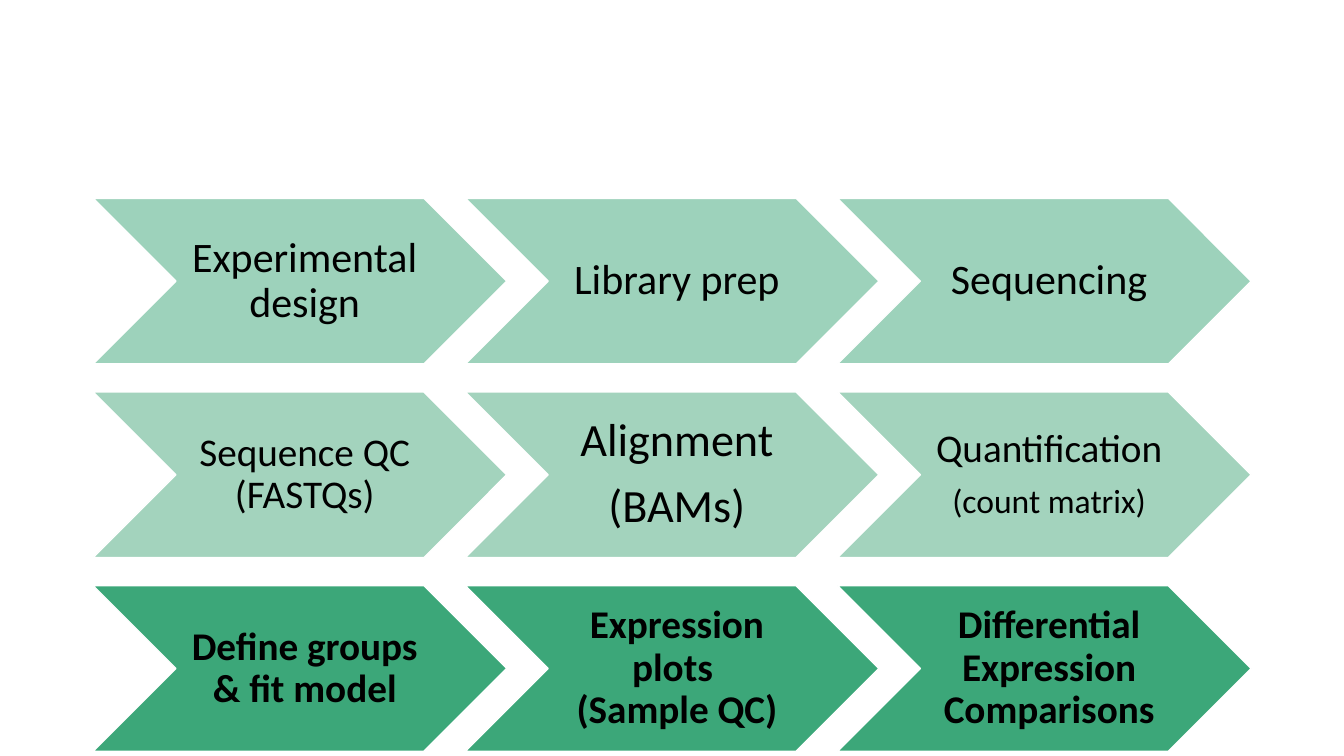
from lxml.etree import SubElement
from pptx import Presentation
from pptx.dml.color import RGBColor
from pptx.enum.shapes import MSO_SHAPE
from pptx.enum.text import MSO_ANCHOR, PP_ALIGN
from pptx.oxml.ns import qn
from pptx.util import Cm, Pt

# Content: each stage has its fill, opacity, weight and steps;
# a step is a list of (paragraph, size), "\v" being a line break
STAGES = [
    {"fill": "3CA779", "opacity": 50, "bold": False, "steps": [
        [("Experimental design", 30)],
        [("Library prep", 30)],
        [("Sequencing", 30)]]},
    {"fill": "A3D3BD", "opacity": 100, "bold": False, "steps": [
        [("Sequence QC\v(FASTQs)", 28)],
        [("Alignment", 33), ("(BAMs)", 33)],
        [("Quantification", 28), ("(count matrix)", 24)]]},
    {"fill": "3CA779", "opacity": 100, "bold": True, "steps": [
        [("Define groups & fit model", 28)],
        [("Expression plots \v(Sample QC)", 28)],
        [("Differential Expression Comparisons", 28)]]},
]

# Grid in centimetres
LEFT, TOP = 2.35, 5.0
STEP_WIDTH, STEP_HEIGHT = 10.42, 4.17
COLUMN_PITCH, ROW_PITCH = 9.38, 4.88


def paint(color_format, hex_color):
    color_format.rgb = RGBColor.from_string(hex_color)


def write(paragraph, text, size=28, bold=False, color="000000", font="Calibri"):
    paragraph.text = text
    paragraph.alignment = PP_ALIGN.CENTER
    paragraph.line_spacing = 0.9
    paragraph.space_after = Pt(round(0.35 * size, 1))
    for run in paragraph.runs:
        run.font.name = font
        run.font.size = Pt(size)
        run.font.bold = bold
        paint(run.font.color, color)


def add_step(slide, left, top, lines, fill, opacity, bold):
    step = slide.shapes.add_shape(MSO_SHAPE.CHEVRON, Cm(left), Cm(top),
                                  Cm(STEP_WIDTH), Cm(STEP_HEIGHT))
    step.shadow.inherit = False
    step.fill.solid()
    paint(step.fill.fore_color, fill)
    if opacity < 100:
        color = step.fill._xPr.find(".//" + qn("a:srgbClr"))
        SubElement(color, qn("a:alpha")).set("val", str(opacity * 1000))
    paint(step.line.color, "FFFFFF")
    step.line.width = Pt(1)

    # Label
    label = step.text_frame
    label.word_wrap = True
    label.vertical_anchor = MSO_ANCHOR.MIDDLE
    label.margin_left = Cm(0.35)
    label.margin_right = label.margin_top = label.margin_bottom = Cm(0.11)
    for number, (text, size) in enumerate(lines):
        paragraph = label.add_paragraph() if number else label.paragraphs[0]
        write(paragraph, text, size=size, bold=bold)


presentation = Presentation()
presentation.slide_width, presentation.slide_height = Cm(33.87), Cm(19.05)
workflow = presentation.slides.add_slide(presentation.slide_layouts[6])

# Three stages of three steps
for row, stage in enumerate(STAGES):
    for column, lines in enumerate(stage["steps"]):
        add_step(workflow, LEFT + column * COLUMN_PITCH, TOP + row * ROW_PITCH,
                 lines, stage["fill"], stage["opacity"], stage["bold"])

presentation.save("out.pptx")
